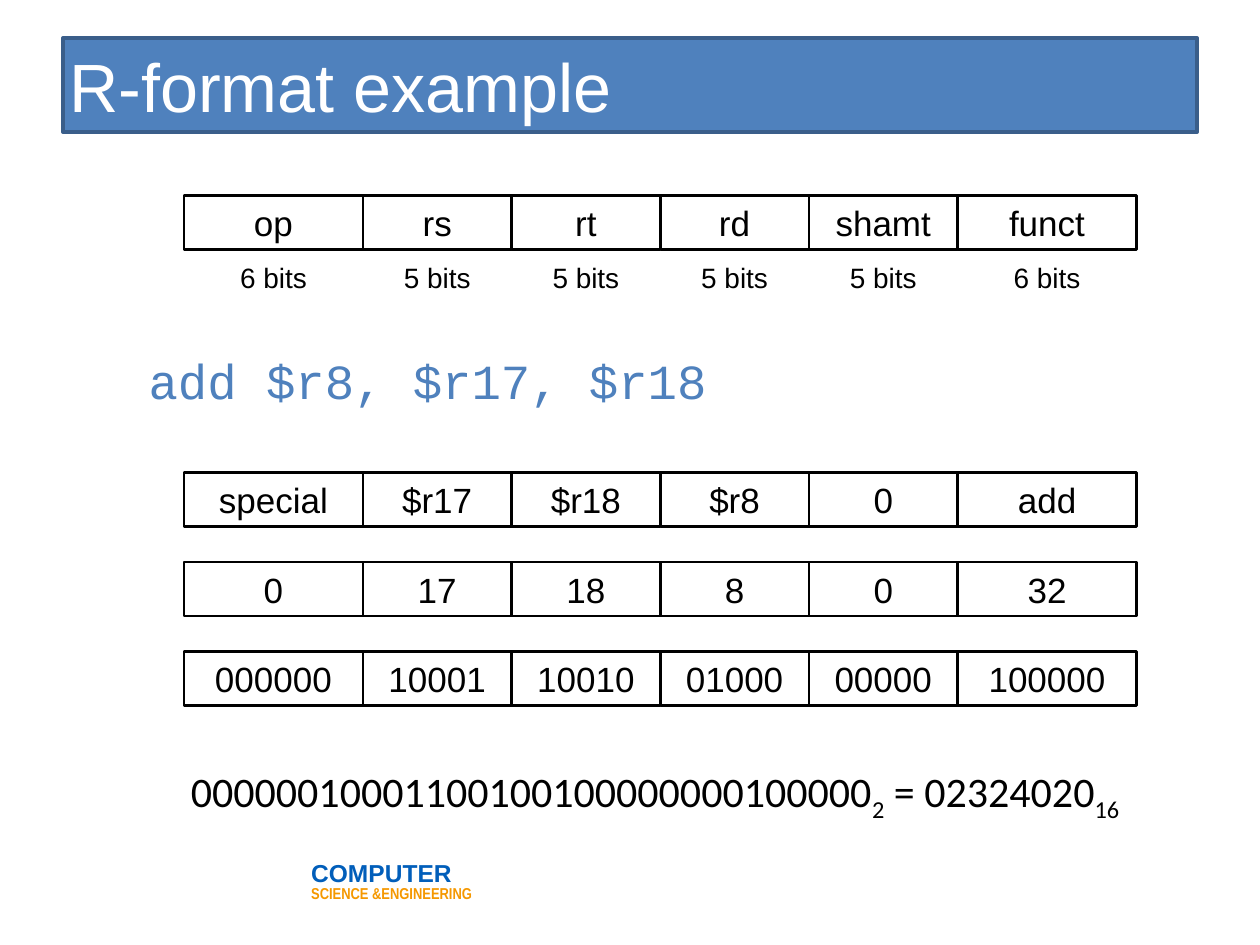
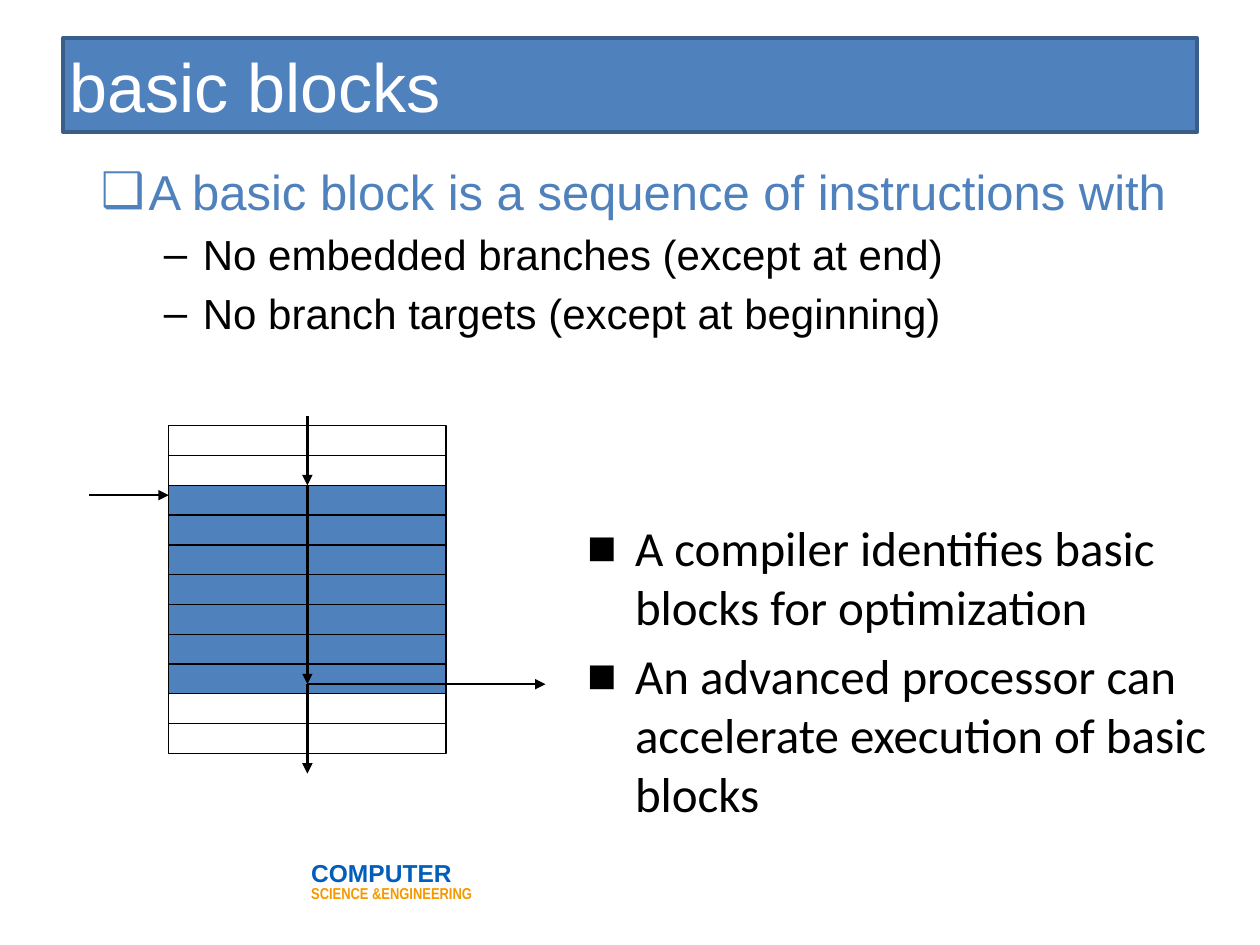
from dataclasses import dataclass
from itertools import accumulate

from lxml import etree
from pptx import Presentation
from pptx.dml.color import RGBColor
from pptx.enum import shapes, text
from pptx.oxml import ns
from pptx.util import Inches, Pt


@dataclass(frozen=True)
class Theme:
    blue: str = "4F81BD"
    dark_blue: str = "3A5E8A"
    footer_blue: str = "015EBA"
    footer_orange: str = "F59800"
    black: str = "000000"
    white: str = "FFFFFF"
    sans: str = "Arial"
    narrow: str = "Arial Narrow"
    prose: str = "Calibri"
    code: str = "Courier New"
    title_size: int = 39
    list_size: int = 28
    sublist_size: int = 24
    field_size: int = 20
    bits_size: int = 16
    inset: float = 0.05


THEME = Theme()

# Shared parts: left, top, width, height in inches
TITLE_BOX = (0.5, 0.3, 9, 0.75)
FOOTER_BOX = (2.47, 6.91, 1.43, 0.35)
FOOTER = [  # wording, font, size, colour, space before
    ("COMPUTER", THEME.sans, 14, THEME.footer_blue, 0),
    ("SCIENCE &ENGINEERING", THEME.narrow, 9, THEME.footer_orange, 4),
]

# R-format slide
FORMAT_TITLE = "R-format example"
INSTRUCTION = "add $r8, $r17, $r18"
INSTRUCTION_BOX = (0.75, 2.73, 9.05, 0.71)
FIELD_BITS = [6, 5, 5, 5, 5, 6]
FIELD_WIDTHS = {6: 1.42, 5: 1.18}
FIELDS_LEFT, FIELD_HEIGHT = 1.46, 0.43
FIELD_ROWS = [  # top, contents
    (1.55, ["op", "rs", "rt", "rd", "shamt", "funct"]),
    (3.75, ["special", "$r17", "$r18", "$r8", "0", "add"]),
    (4.46, ["0", "17", "18", "8", "0", "32"]),
    (5.17, ["000000", "10001", "10010", "01000", "00000", "100000"]),
]
BITS_TOP, BITS_WIDTH, BITS_HEIGHT = 2.02, 0.65, 0.34
ENCODING_BOX = (0.75, 6.03, 8.9, 0.57)
ENCODING = [("00000010001100100100000000100000", "2"), (" = 02324020", "16")]

# Basic blocks slide
BLOCKS_TITLE = "basic blocks"
DEFINITION_BOX = (0.75, 1.23, 9.05, 2.52)
DEFINITION = [  # wording, level
    ("A basic block is a sequence of instructions with", 0),
    ("No embedded branches (except at end)", 1),
    ("No branch targets (except at beginning)", 1),
]
REMARKS_BOX = (4.61, 4.06, 5.11, 2.62)
REMARKS = [
    "A compiler identifies basic blocks for optimization",
    "An advanced processor can accelerate execution of basic blocks",
]
STACK_LEFT, STACK_TOP, STACK_WIDTH, STACK_HEIGHT = 1.34, 3.38, 2.2, 2.6
INSTRUCTIONS = 11
BASIC_BLOCK = range(2, 9)
FLOW_TOP, BRANCH_Y, FLOW_BOTTOM = 3.3, 5.43, 6.14
ENTRY_LEFT, ENTRY_Y, EXIT_RIGHT = 0.71, 3.93, 4.33


def inches(values):
    return [Inches(value) for value in values]


def color(code):
    return RGBColor.from_string(code)


def style_runs(para, font, size, ink, bold=False):
    for span in para.runs:
        span.font.name, span.font.size, span.font.bold = font, Pt(size), bold
        span.font.color.rgb = color(ink)


def set_frame(box, inset=THEME.inset, anchor=text.MSO_ANCHOR.TOP):
    frame = box.text_frame
    frame.word_wrap = True
    frame.auto_size = text.MSO_AUTO_SIZE.NONE
    frame.vertical_anchor = anchor
    frame.margin_left = frame.margin_top = Inches(inset)
    frame.margin_right = frame.margin_bottom = Inches(inset)
    return frame


def place(box, bounds):
    box.left, box.top, box.width, box.height = inches(bounds)


def paint(box, fill, line, weight):
    if fill:
        box.fill.solid()
        box.fill.fore_color.rgb = color(fill)
    else:
        box.fill.background()
    box.line.color.rgb = color(line)
    box.line.width = Pt(weight)


def add_rect(parent, bounds, fill=None, line=THEME.black, weight=1.5):
    box = parent.shapes.add_shape(shapes.MSO_SHAPE.RECTANGLE, *inches(bounds))
    box.shadow.inherit = False
    paint(box, fill, line, weight)
    return box


def write_centred(box, wording, size):
    frame = set_frame(box)
    frame.text = wording
    para = frame.paragraphs[0]
    para.alignment = text.PP_ALIGN.CENTER
    style_runs(para, THEME.sans, size, THEME.black)


def set_bullet(para, left, hang, mark=None, ink=THEME.black):
    """Indent a paragraph and give it a bullet, or none without a mark."""
    props = para._p.get_or_add_pPr()
    props.set("marL", str(Inches(left)))
    props.set("indent", str(-Inches(hang)))
    if mark is None:
        etree.SubElement(props, ns.qn("a:buNone"))
        return
    tint = etree.SubElement(props, ns.qn("a:buClr"))
    etree.SubElement(tint, ns.qn("a:srgbClr"), val=ink)
    etree.SubElement(props, ns.qn("a:buFont"), typeface=THEME.sans)
    etree.SubElement(props, ns.qn("a:buChar"), char=mark)


def add_arrow(parent, start, end):
    arrow = parent.shapes.add_connector(
        shapes.MSO_CONNECTOR.STRAIGHT, *inches(start + end))
    arrow.line.color.rgb = color(THEME.black)
    arrow.line.width = Pt(1.5)
    etree.SubElement(arrow.line._get_or_add_ln(), ns.qn("a:tailEnd"), type="triangle")
    etree.SubElement(arrow._element.spPr, ns.qn("a:effectLst"))


def add_footer(page):
    frame = set_frame(add_rect(page, FOOTER_BOX, THEME.white, THEME.white, 3), 0)
    frame.text = "\n".join(wording for wording, *_ in FOOTER)
    for para, (_, font, size, ink, gap) in zip(frame.paragraphs, FOOTER):
        para.alignment = text.PP_ALIGN.LEFT
        para.line_spacing = 0.5
        para.space_before = Pt(gap)
        style_runs(para, font, size, ink, bold=True)


def add_page(deck, title, body_bounds):
    """Add a slide with title band and footer; return it and its body frame."""
    page = deck.slides.add_slide(deck.slide_layouts[1])
    band, body = page.shapes.title, page.placeholders[1]
    place(band, TITLE_BOX)
    paint(band, THEME.blue, THEME.dark_blue, 2)
    frame = set_frame(band, anchor=text.MSO_ANCHOR.MIDDLE)
    frame.text = title
    frame.paragraphs[0].alignment = text.PP_ALIGN.LEFT
    style_runs(frame.paragraphs[0], THEME.sans, THEME.title_size, THEME.white)
    place(body, body_bounds)
    add_footer(page)
    return page, set_frame(body)


def add_fields(page):
    widths = [FIELD_WIDTHS[bits] for bits in FIELD_BITS]
    lefts = list(accumulate(widths[:-1], initial=FIELDS_LEFT))
    for top, contents in FIELD_ROWS:
        for left, width, wording in zip(lefts, widths, contents):
            box = add_rect(page, (left, top, width, FIELD_HEIGHT))
            write_centred(box, wording, THEME.field_size)
    for left, width, bits in zip(lefts, widths, FIELD_BITS):
        label_left = left + (width - BITS_WIDTH) / 2
        box = page.shapes.add_textbox(
            *inches((label_left, BITS_TOP, BITS_WIDTH, BITS_HEIGHT)))
        write_centred(box, f"{bits} bits", THEME.bits_size)


def add_encoding(page):
    frame = set_frame(page.shapes.add_textbox(*inches(ENCODING_BOX)))
    para = frame.paragraphs[0]
    para.alignment = text.PP_ALIGN.CENTER
    set_bullet(para, 0.38, 0.38)
    for number, base in ENCODING:
        para.add_run().text = number
        subscript = para.add_run()
        subscript.text = base
        subscript._r.get_or_add_rPr().set("baseline", "-25000")
    style_runs(para, THEME.prose, THEME.sublist_size, THEME.black)


def build_format_page(deck):
    page, frame = add_page(deck, FORMAT_TITLE, INSTRUCTION_BOX)
    frame.text = INSTRUCTION
    para = frame.paragraphs[0]
    para.space_before = Pt(0)
    set_bullet(para, 0.38, 0)
    style_runs(para, THEME.code, THEME.list_size, THEME.blue)
    add_fields(page)
    add_encoding(page)


def add_flow(page):
    """Draw the instruction stack and the control flow through it."""
    diagram = page.shapes.add_group_shape()
    row_height = STACK_HEIGHT / INSTRUCTIONS
    for row in range(INSTRUCTIONS):
        top = STACK_TOP + row * row_height
        fill = THEME.blue if row in BASIC_BLOCK else None
        add_rect(diagram, (STACK_LEFT, top, STACK_WIDTH, row_height), fill, weight=0.75)
    middle = STACK_LEFT + STACK_WIDTH / 2
    block_top = STACK_TOP + BASIC_BLOCK.start * row_height
    stops = [FLOW_TOP, block_top, BRANCH_Y, FLOW_BOTTOM]
    for start, end in zip(stops, stops[1:]):
        add_arrow(diagram, (middle, start), (middle, end))
    add_arrow(diagram, (middle, BRANCH_Y), (EXIT_RIGHT, BRANCH_Y))
    add_arrow(diagram, (ENTRY_LEFT, ENTRY_Y), (STACK_LEFT, ENTRY_Y))


def build_blocks_page(deck):
    levels = [  # left, hang, mark, size, colour, space before
        (0.38, 0.38, "❑", THEME.list_size, THEME.blue, 0),
        (0.81, 0.31, "–", THEME.sublist_size, THEME.black, 5),
    ]
    page, frame = add_page(deck, BLOCKS_TITLE, DEFINITION_BOX)
    frame.text = "\n".join(wording for wording, _ in DEFINITION)
    for para, (_, level) in zip(frame.paragraphs, DEFINITION):
        left, hang, mark, size, ink, gap = levels[level]
        para.level = level
        para.space_before = Pt(gap)
        set_bullet(para, left, hang, mark, ink)
        style_runs(para, THEME.sans, size, ink)
    add_flow(page)

    remarks = set_frame(page.shapes.add_textbox(*inches(REMARKS_BOX)))
    remarks.text = "\n".join(REMARKS)
    for order, para in enumerate(remarks.paragraphs):
        para.space_before = Pt(6 if order else 0)
        set_bullet(para, 0.38, 0.38, "■")
        style_runs(para, THEME.prose, THEME.list_size, THEME.black)


def main():
    deck = Presentation()
    deck.slide_width, deck.slide_height = Inches(10), Inches(7.5)
    build_format_page(deck)
    build_blocks_page(deck)
    deck.save("out.pptx")


if __name__ == "__main__":
    main()
